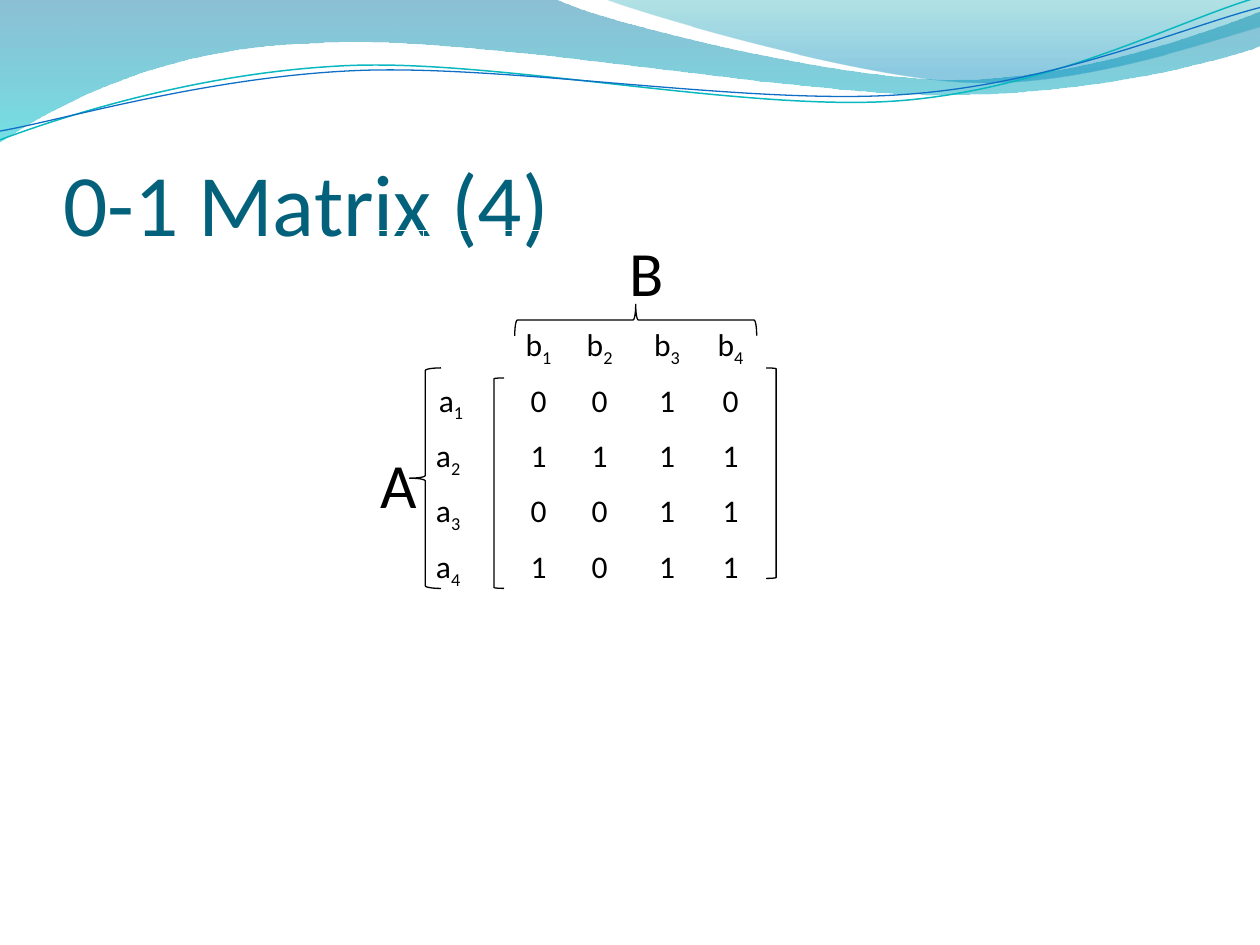
from math import cos, radians, sin

from lxml.etree import SubElement
from pptx import Presentation
from pptx.dml.color import RGBColor
from pptx.enum.shapes import MSO_SHAPE as SHAPE
from pptx.enum.text import MSO_ANCHOR as ANCHOR, PP_ALIGN as ALIGN
from pptx.oxml.ns import qn
from pptx.util import Inches, Pt

COLORS = {"title": "04617B", "text": "000000", "border": "FFFFFF",
          "deep": "0074A1", "aqua": "00C6CF", "teal": "00A1A9",
          "sky": "008BBF", "line_teal": "0AB8BF", "line_blue": "0F6FC6"}
FONT = "Calibri"


def style_run(r, size, color):
    r.font.name, r.font.size, r.font.bold = FONT, Pt(size), False
    r.font.color.rgb = RGBColor.from_string(COLORS[color])


def add_wave(shapes, path, tilt=0, closed=False):
    """Draw a path of 2-number line ends and 6-number Bezier segments."""
    pts = [pt for seg in path for pt in zip(seg[::2], seg[1::2])]
    # Points are in slide position, so turn them back before tilting the shape
    ca, sa, cx, cy = cos(radians(tilt)), sin(radians(tilt)), 4.99, 0.58
    pts = [(Inches(cx + (x - cx)*ca + (y - cy)*sa),
            Inches(cy - (x - cx)*sa + (y - cy)*ca)) for x, y in pts]
    builder = shapes.build_freeform(*pts[0])
    builder.add_line_segments(pts[1:], close=closed)
    sp = builder.convert_to_shape()
    # Join each three lines of a Bezier segment into one curve
    lines = iter(list(sp._element.iter(qn("a:lnTo"))))
    for seg in path[1:]:
        curve = next(lines)
        if len(seg) == 6:
            bezier = SubElement(curve.getparent(), qn("a:cubicBezTo"))
            curve.addprevious(bezier)
            for ln in (curve, next(lines), next(lines)):
                bezier.append(ln[0])
                ln.getparent().remove(ln)
    sp.rotation = tilt
    sp.shadow.inherit = False
    return sp


prs = Presentation()
prs.slide_width, prs.slide_height = Inches(10), Inches(7.5)
s = prs.slides.add_slide(prs.slide_layouts[5])

# Gradient waves: path, then (position, colour, opacity) stops
bands = [
    ([(0, 0), (4.4, -0.01), (4.76, 0.17, 6.64, 0.63, 7.58, 0.63),
      (8.53, 0.63, 9.58, 0.26, 10, 0.09), (10.01, 0.36),
      (9.83, 0.44, 8.7, 0.76, 7.46, 0.75),
      (6.22, 0.75, 3.82, 0.28, 2.57, 0.34),
      (1.29, 0.36, 0.46, 0.83, -0.01, 1.13), (0, 0)],
     [(0, "deep", 45), (1, "aqua", 55)]),
    ([(4.79, -0.01), (5.09, 0.11, 6.82, 0.62, 7.69, 0.65),
      (8.56, 0.69, 9.61, 0.32, 10, 0.21), (10, 0), (4.79, -0.01)],
     [(0, "teal", 30), (0.8, "sky", 45)]),
]
for path, stops in bands:
    sp = add_wave(s.shapes, path, closed=True)
    sp.line.fill.background()
    sp.fill.gradient()
    sp.fill.gradient_angle = 270
    for stop, (pos, color, opacity) in zip(sp.fill.gradient_stops, stops):
        stop.position = pos
        stop.color.rgb = RGBColor.from_string(COLORS[color])
    for clr, (_, _, opacity) in zip(sp._element.spPr.iter(qn("a:srgbClr")), stops):
        SubElement(clr, qn("a:alpha")).set("val", str(opacity * 1000))

# Thin wave lines
strands = [
    ([(0, 1.11), (0.48, 0.93, 1.58, 0.57, 2.77, 0.52),
      (3.95, 0.47, 5.93, 0.89, 7.13, 0.8),
      (8.33, 0.71, 9.38, 0.15, 9.98, -0.02)], "line_teal", 0.85),
    ([(0, 1.04), (0.47, 0.96, 1.64, 0.61, 2.83, 0.56),
      (4.03, 0.51, 5.97, 0.84, 7.17, 0.75),
      (8.36, 0.67, 9.41, 0.21, 10, 0.06)], "line_blue", 0.75),
]
for path, color, width in strands:
    sp = add_wave(s.shapes, path, tilt=357.3)
    sp.fill.background()
    sp.line.color.rgb = RGBColor.from_string(COLORS[color])
    sp.line.width = Pt(width)

# Title, in front of the waves
title = s.shapes.title
s.shapes._spTree.append(title._element)
title.left, title.top, title.width, title.height = map(Inches, (0.5, 0.77, 9, 1.25))
tf = title.text_frame
tf.text = "0-1 Matrix (4)"
tf.vertical_anchor = ANCHOR.BOTTOM
tf.margin_left = tf.margin_right = tf.margin_bottom = 0
tf.margin_top = Inches(0.05)
tf.paragraphs[0].alignment = ALIGN.LEFT
style_run(tf.paragraphs[0].runs[0], 50, "title")

# Matrix table: a letter with a digit after it gets a subscript
rows = [
    ["", "", "B", "", "", "", "", ""],
    ["", "", "", "b1", "b2", "b3", "b4", ""],
    ["A", "a1", "", "0", "0", "1", "0", ""],
    ["", "a2", "", "1", "1", "1", "1", ""],
    ["", "a3", "", "0", "0", "1", "1", ""],
    ["", "a4", "", "1", "0", "1", "1", ""],
]
widths = [0.44, 0.44, 0.23, 0.47, 0.5, 0.57, 0.44, 0.44]
table = s.shapes.add_table(len(rows), len(widths), Inches(2.92), Inches(1.83),
                           Inches(3.53), Inches(2.88)).table
table.first_row = table.horz_banding = False
for col, width in zip(table.columns, widths):
    col.width = Inches(width)
for i, row in enumerate(table.rows):
    row.height = Inches(0.44 if i else 0.7)
for first, last in [((0, 2), (0, 7)), ((2, 0), (5, 0)), ((2, 2), (5, 2))]:
    table.cell(*first).merge(table.cell(*last))

for i, row in enumerate(rows):
    for j, text in enumerate(row):
        cell = table.cell(i, j)
        tcPr = cell._tc.get_or_add_tcPr()
        for side in "LRTB":
            thick = (i, side) in ((0, "B"), (1, "T"))
            ln = SubElement(tcPr, qn("a:ln" + side), w=str(Pt(3 if thick else 1)))
            fill = SubElement(ln, qn("a:solidFill"))
            SubElement(fill, qn("a:srgbClr"), val=COLORS["border"])
        cell.fill.background()
        if not text:
            continue
        p = cell.text_frame.paragraphs[0]
        left = text in ("A", "a2", "a3", "a4")
        p.alignment = ALIGN.LEFT if left else ALIGN.CENTER
        for k, char in enumerate(text):
            r = p.add_run()
            r.text = char
            style_run(r, 36 if text in "AB" else 18, "text")
            if k:
                r.font._rPr.set("baseline", "-25000")
table.cell(2, 0).vertical_anchor = ANCHOR.MIDDLE

# Braces for the sets, brackets around the matrix
marks = [
    (SHAPE.LEFT_BRACE, 4.92, 1.58, 0.25, 1.92, 90),
    (SHAPE.LEFT_BRACE, 3.25, 2.92, 0.25, 1.75, 0),
    (SHAPE.LEFT_BRACKET, 3.92, 3, 0.08, 1.67, 0),
    (SHAPE.LEFT_BRACKET, 6.08, 2.92, 0.08, 1.67, 180),
]
for kind, *box, angle in marks:
    sp = s.shapes.add_shape(kind, *map(Inches, box))
    sp.rotation = angle
    sp.shadow.inherit = False
    sp.fill.background()
    sp.line.color.rgb = RGBColor.from_string(COLORS["text"])
    sp.line.width = Pt(0.75)

prs.save("out.pptx")
